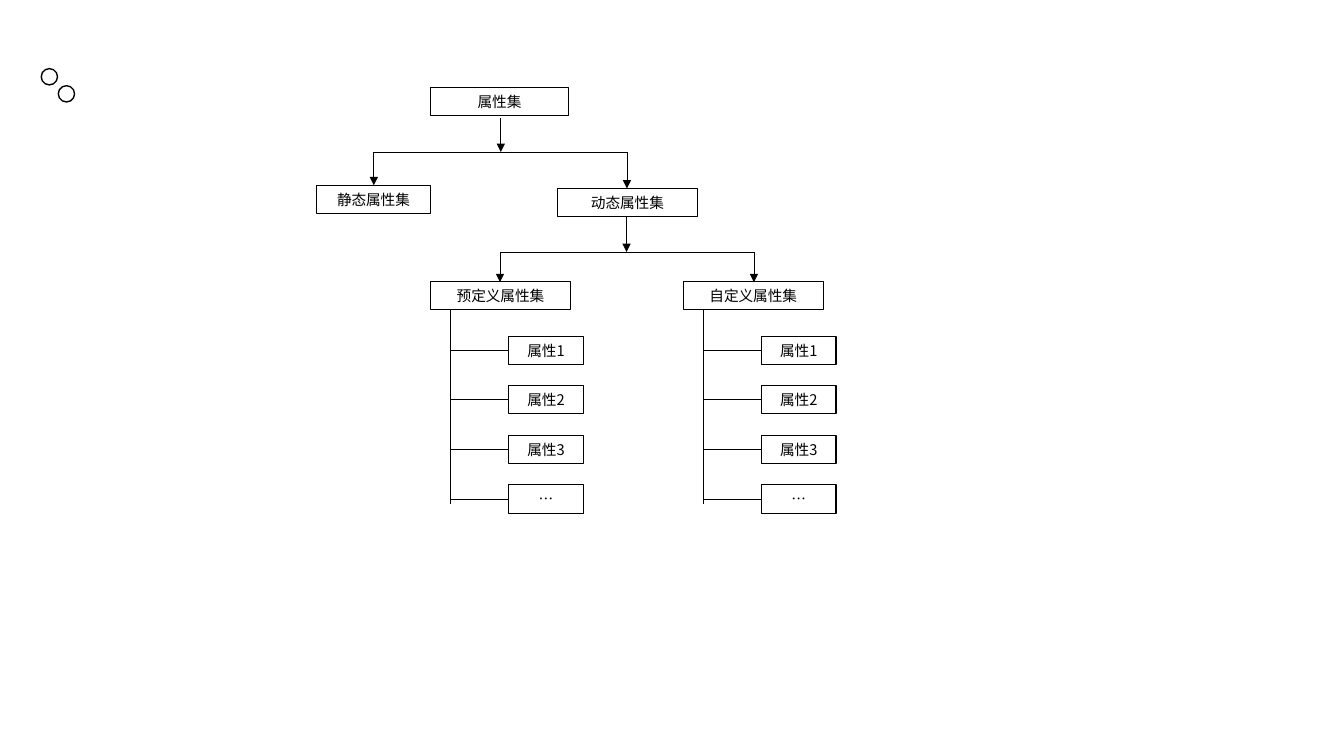
"""Builds a slide with a tree of attribute sets."""
from pptx import Presentation
from pptx import util as u
from pptx.dml.color import RGBColor
from pptx.enum import shapes, text
from pptx.oxml.ns import qn
from lxml import etree

FONT = "Noto Sans CJK SC"
INK = "000000"
BOX_H = 0.71
ATTRIBUTES = ["属性1", "属性2", "属性3", "…"]


def color(value):
    """Turn a hex string into a colour."""
    return RGBColor.from_string(value)


def write(tf, content, size=10.5, ink=INK, font=FONT):
    """Write one centred line of text into a text frame."""
    tf.margin_left = tf.margin_right = tf.margin_top = tf.margin_bottom = 0
    tf.vertical_anchor = text.MSO_ANCHOR.MIDDLE
    tf.word_wrap = True
    p = tf.paragraphs[0]
    p.alignment = text.PP_ALIGN.CENTER
    r = p.add_run()
    r.text = content
    r.font.size = u.Pt(size)
    r.font.name = font
    r.font.color.rgb = color(ink)
    ea = etree.SubElement(r.font._element, qn("a:ea"))
    ea.set("typeface", font)


def outline(s, kind, x, y, w, h, weight):
    """Add an unfilled shape with a thin outline."""
    sp = s.shapes.add_shape(kind, u.Cm(x), u.Cm(y), u.Cm(w), u.Cm(h))
    sp.shadow.inherit = False
    sp.fill.background()
    sp.line.color.rgb = color(INK)
    sp.line.width = u.Pt(weight)
    return sp


def node(s, label, x, y, w):
    """Add a labelled box of the tree."""
    sp = outline(s, shapes.MSO_SHAPE.RECTANGLE, x, y, w, BOX_H, 0.75)
    write(sp.text_frame, label)


def line(s, x1, y1, x2, y2, arrow=False):
    """Add a straight line, with an arrowhead at its end if asked."""
    c = s.shapes.add_connector(shapes.MSO_CONNECTOR.STRAIGHT,
                               u.Cm(x1), u.Cm(y1), u.Cm(x2), u.Cm(y2))
    c.line.color.rgb = color(INK)
    c.line.width = u.Pt(0.5)
    if arrow:
        etree.SubElement(c.line._get_or_add_ln(), qn("a:tailEnd")).set("type", "triangle")
    etree.SubElement(c._element.spPr, qn("a:effectLst"))


def fork(s, x, top, bar, drops):
    """Draw an arrow down to a bar and an arrow from the bar to each child."""
    line(s, x, top, x, bar, arrow=True)
    line(s, drops[0][0], bar, drops[-1][0], bar)
    for drop_x, bottom in drops:
        line(s, drop_x, bar, drop_x, bottom, arrow=True)


def attribute_list(s, label, x, y, w):
    """Draw a set with its attributes hanging from a trunk."""
    node(s, label, x, y, w)
    trunk, child = x + 0.5, x + 1.97
    line(s, trunk, y + BOX_H, trunk, y + 5.6)
    for i, name in enumerate(ATTRIBUTES):
        top = y + 1.38 + 1.25 * i
        node(s, name, child, top, 1.88)
        line(s, trunk, top + BOX_H / 2, child, top + BOX_H / 2)


def circles(s, x, y, d=0.41, step=0.43):
    """Draw two small circles along a diagonal."""
    for i in range(2):
        outline(s, shapes.MSO_SHAPE.OVAL, x + i * step, y + i * step, d, d, 1)


def tree(s, x, y):
    """Draw the whole tree from its left edge and top."""
    node(s, "属性集", x + 2.87, y, 3.48)
    fork(s, x + 4.64, y + 0.76, y + 1.62, [(x + 1.44, y + 2.46), (x + 7.82, y + 2.54)])
    node(s, "静态属性集", x, y + 2.46, 2.87)
    node(s, "动态属性集", x + 6.07, y + 2.54, 3.53)
    fork(s, x + 7.81, y + 3.25, y + 4.14, [(x + 4.62, y + 4.9), (x + 11.02, y + 4.9)])
    for label, left in (("预定义属性集", 2.87), ("自定义属性集", 9.24)):
        attribute_list(s, label, x + left, y + 4.88, 3.53)


def main():
    """Build and save the presentation."""
    prs = Presentation()
    prs.slide_width, prs.slide_height = u.Cm(33.87), u.Cm(19.05)
    s = prs.slides.add_slide(prs.slide_layouts[6])
    circles(s, 1.04, 1.73)
    tree(s, 7.98, 2.21)
    prs.save("out.pptx")


if __name__ == "__main__":
    main()
